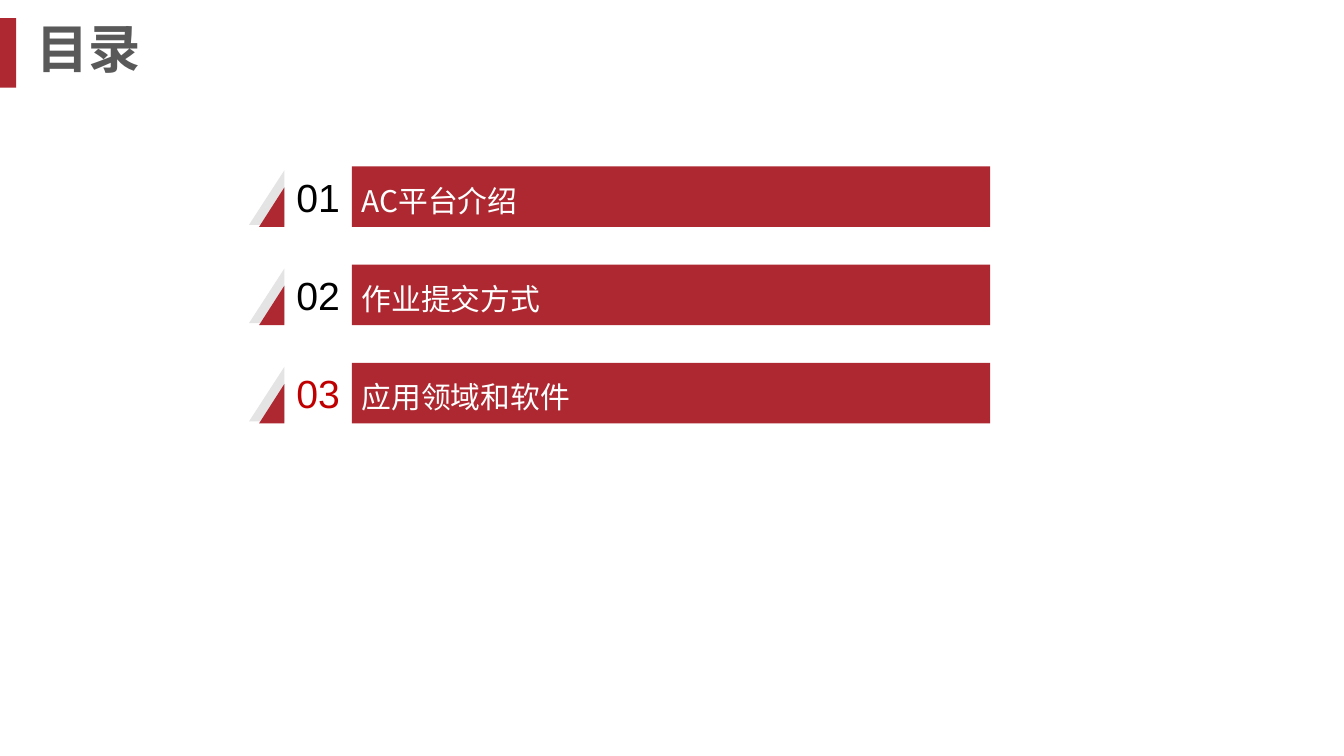
from lxml.etree import SubElement
from pptx import Presentation
from pptx.dml.color import RGBColor
from pptx.enum.shapes import MSO_SHAPE as Preset
from pptx.enum.text import MSO_ANCHOR as Anchor, PP_ALIGN as Align
from pptx.oxml.ns import qn
from pptx.util import Inches, Pt

RED = RGBColor(0xAD, 0x28, 0x30)
HIGHLIGHT = RGBColor(0xC0, 0x00, 0x00)
LIGHT_GRAY = RGBColor(0xE4, 0xE4, 0xE4)
DARK_GRAY = RGBColor(0x59, 0x59, 0x59)
BLACK = RGBColor(0x00, 0x00, 0x00)
WHITE = RGBColor(0xFF, 0xFF, 0xFF)
LATIN_FONT = "Arial"
CHINESE_FONT = "Noto Sans CJK SC"

FIRST_TOP, LAST_TOP = 1.65, 3.6
BAR_LEFT, BAR_WIDTH, BAR_HEIGHT = 3.49, 6.33, 0.6
WEDGE_RIGHT = 2.82
ENTRIES = [
    ("01", "AC平台介绍", BLACK),
    ("02", "作业提交方式", BLACK),
    ("03", "应用领域和软件", HIGHLIGHT),
]


def paint(shape, color):
    shape.shadow.inherit = False
    shape.fill.solid()
    shape.fill.fore_color.rgb = color
    shape.line.fill.background()


def add_outline(slide, contours, color):
    """Draw one filled shape from closed contours given in inches."""
    builder = None
    for contour in contours:
        start, *others = [(Inches(x), Inches(y)) for x, y in contour]
        if builder is None:
            builder = slide.shapes.build_freeform(*start)
        else:
            builder.move_to(*start)
        builder.add_line_segments(others, close=True)
    paint(builder.convert_to_shape(), color)


def add_text(slide, text, box, size, color, font=CHINESE_FONT, bold=False,
             anchor=Anchor.MIDDLE, align=Align.LEFT, spacing=1.0, inset=0.1):
    """Add a one-paragraph text box; box is left, top, width, height in inches."""
    frame = slide.shapes.add_textbox(*map(Inches, box)).text_frame
    frame.word_wrap = True
    frame.vertical_anchor = anchor
    frame.margin_left = frame.margin_right = Inches(inset)
    frame.margin_top = frame.margin_bottom = Inches(inset / 2)
    paragraph = frame.paragraphs[0]
    paragraph.text = text
    paragraph.alignment = align
    paragraph.line_spacing = spacing
    paragraph.font.size = Pt(size)
    paragraph.font.bold = bold
    paragraph.font.color.rgb = color
    paragraph.font.name = font
    properties = paragraph._p.pPr.find(qn("a:defRPr"))
    SubElement(properties, qn("a:ea")).set("typeface", font)


def add_title(slide, text):
    marker = slide.shapes.add_shape(
        Preset.RECTANGLE, 0, Inches(0.18), Inches(0.16), Inches(0.69))
    paint(marker, RED)
    add_text(slide, text, (0.26, 0.18, 11.02, 0.69), 37.3, DARK_GRAY,
             bold=True, anchor=Anchor.TOP, spacing=0.9)


def wedge(left, top, bottom):
    return [(WEDGE_RIGHT, top), (WEDGE_RIGHT, bottom), (left, bottom)]


def add_entry(slide, top, number, label, number_color):
    bottom = top + BAR_HEIGHT
    right = BAR_LEFT + BAR_WIDTH
    bar = [(BAR_LEFT, top), (right, top), (right, bottom), (BAR_LEFT, bottom)]
    add_outline(slide, [wedge(2.47, top + 0.04, bottom - 0.02)], LIGHT_GRAY)
    add_outline(slide, [wedge(2.57, top + 0.21, bottom), bar], RED)
    add_text(slide, number,
             (WEDGE_RIGHT, top, BAR_LEFT - WEDGE_RIGHT, BAR_HEIGHT),
             28, number_color, font=LATIN_FONT, align=Align.CENTER, inset=0)
    add_text(slide, label, (BAR_LEFT, top, BAR_WIDTH, BAR_HEIGHT),
             21.3, WHITE, spacing=1.2)


def main():
    presentation = Presentation()
    presentation.slide_width = Inches(13.33)
    presentation.slide_height = Inches(7.5)
    slide = presentation.slides.add_slide(presentation.slide_layouts[6])
    add_title(slide, "目录")
    pitch = (LAST_TOP - FIRST_TOP) / (len(ENTRIES) - 1)
    for index, entry in enumerate(ENTRIES):
        add_entry(slide, FIRST_TOP + index * pitch, *entry)
    presentation.save("out.pptx")


if __name__ == "__main__":
    main()
